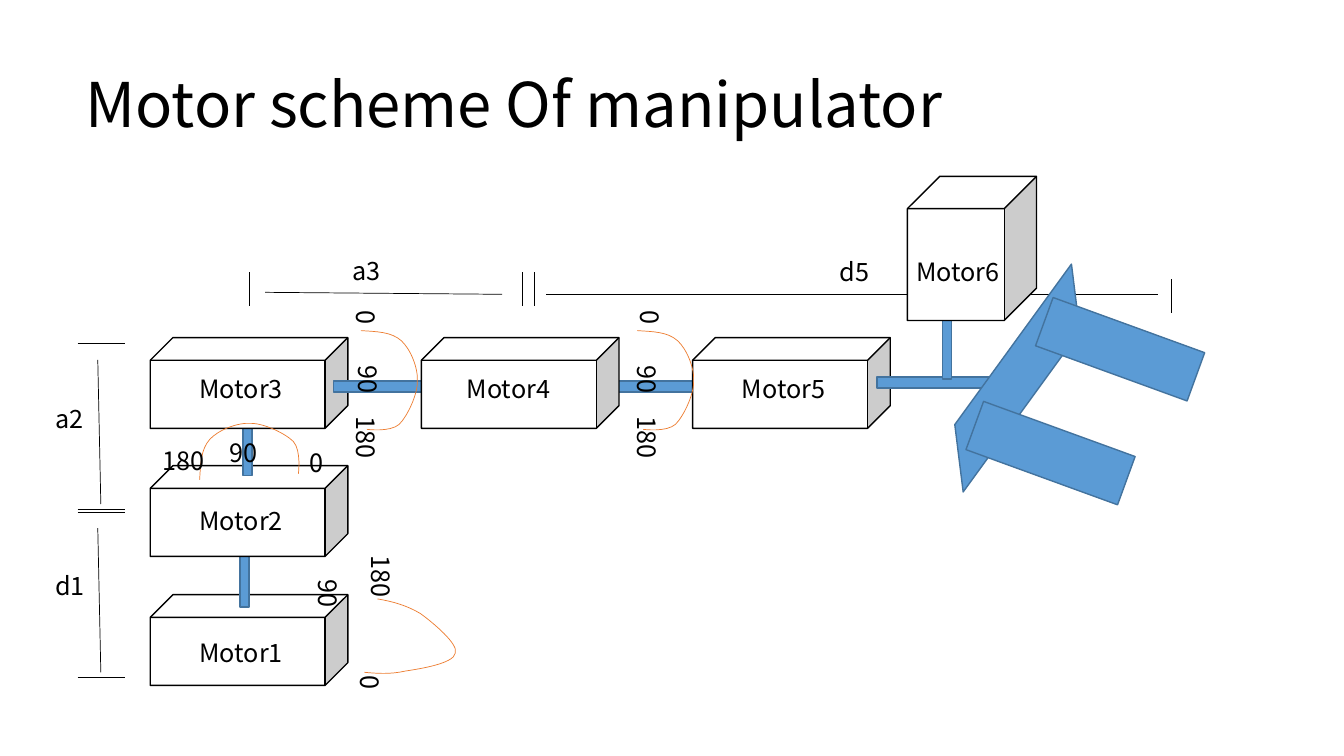
from pptx import Presentation
from pptx import util as u
from pptx.dml.color import RGBColor
from pptx.enum import shapes, text
from lxml import etree

PX = 9144
FONT = "Noto Sans CJK KR"
C = {"ink": "000000", "face": "FFFFFF", "rod": "5B9BD5", "edge": "43739E", "arc": "ED7D31"}
A = "{http://schemas.openxmlformats.org/drawingml/2006/main}"

prs = Presentation()
prs.slide_width, prs.slide_height = 1333 * PX, 750 * PX
s = prs.slides.add_slide(prs.slide_layouts[6])


def add_line(x1, y1, x2, y2):
    ln = s.shapes.add_connector(shapes.MSO_CONNECTOR.STRAIGHT, x1 * PX, y1 * PX, x2 * PX, y2 * PX)
    ln.line.color.rgb = RGBColor.from_string(C["ink"])
    ln.line.width = u.Pt(0.5)
    etree.SubElement(ln._element.spPr, A + "effectLst")


def add_label(label, x, y, w, h=40, rot=0, size=18):
    sp = s.shapes.add_textbox(x * PX, y * PX, w * PX, h * PX)
    sp.rotation = rot
    tf = sp.text_frame
    tf.word_wrap = True
    tf.text = label
    r = tf.paragraphs[0].runs[0]
    r.font.name, r.font.size = FONT, u.Pt(size)
    r.font.color.rgb = RGBColor.from_string(C["ink"])
    return tf


add_line(542, 292, 1149, 292)

CUBE = shapes.MSO_SHAPE.CUBE
RECT = shapes.MSO_SHAPE.RECTANGLE
PLATE = shapes.MSO_SHAPE.FLOWCHART_DATA
parts = [
    (CUBE, 149, 590, 196, 90, 0),
    (RECT, 190, 545, 105, 9, 270),
    (CUBE, 149, 462, 196, 90, 0),
    (RECT, 193, 415, 105, 9, 270),
    (CUBE, 149, 335, 196, 90, 0),
    (RECT, 331, 378, 473, 11, 0),
    (CUBE, 418, 335, 196, 90, 0),
    (CUBE, 687, 335, 196, 90, 0),
    (RECT, 870, 374, 148, 11, 0),
    (PLATE, 886, 352, 246, 46, 306),
    (RECT, 1031, 321, 160, 51, 20),
    (RECT, 962, 424, 160, 51, 20),
    (RECT, 887, 319, 105, 9, 270),
    (CUBE, 900, 175, 128, 143, 0),
]
for kind, x, y, w, h, rot in parts:
    sp = s.shapes.add_shape(kind, x * PX, y * PX, w * PX, h * PX)
    sp.rotation = rot
    sp.shadow.inherit = False
    fill, edge = ("face", "ink") if kind == CUBE else ("rod", "edge")
    sp.fill.solid()
    sp.fill.fore_color.rgb = RGBColor.from_string(C[fill])
    sp.line.color.rgb = RGBColor.from_string(C[edge])
    sp.line.width = u.Pt(1)

half_turn = [(0, 0), (15, 1), (30, 1), (40, 10), (49, 18), (57, 37), (56, 51),
             (56, 64), (46, 85), (38, 93), (29, 101), (6, 98), (6, 98)]
base_turn = [(24, 0), (39, 5), (52, 11), (64, 21), (75, 32), (97, 57), (92, 65),
             (89, 75), (55, 75), (40, 75), (25, 76), (12, 73), (0, 70)]
for curve, dx, dy, rot in [(half_turn, 358, 328, 0), (half_turn, 632, 328, 0),
                           (half_turn, 220, 397, 270), (base_turn, 356, 590, 351.2)]:
    points = [(x + dx, y + dy) for x, y in curve]
    fb = s.shapes.build_freeform(*points[0], scale=PX)
    fb.add_line_segments(points[1:], close=False)
    sp = fb.convert_to_shape()
    steps = list(sp._element.iter(A + "lnTo"))
    for i in range(0, len(steps), 3):
        bend = etree.Element(A + "cubicBezTo")
        steps[i].addprevious(bend)
        for step in steps[i:i + 3]:
            bend.append(step[0])
            step.getparent().remove(step)
    sp.rotation = rot
    sp.shadow.inherit = False
    sp.fill.background()
    sp.line.color.rgb = RGBColor.from_string(C["arc"])
    sp.line.width = u.Pt(0.5)

labels = [
    ("90", 340, 358, 51, 90), ("90", 218, 429, 255, 0), ("90", 614, 361, 56, 90),
    ("90", 198, 673, 255, 90), ("180", 151, 437, 76, 0), ("0", 342, 666, 51, 90),
    ("0", 338, 304, 51, 90), ("0", 620, 304, 51, 90), ("180", 324, 423, 79, 90),
    ("180", 603, 423, 79, 90), ("180", 346, 553, 64, 90), ("0", 297, 439, 51, 0),
    ("Motor6", 899, 249, 110, 0), ("Motor1", 188, 627, 112, 0), ("Motor2", 188, 496, 112, 0),
    ("Motor3", 188, 365, 112, 0), ("Motor4", 453, 365, 112, 0), ("Motor5", 726, 365, 112, 0),
    ("d1", 45, 561, 56, 0), ("a2", 45, 395, 56, 0), ("a3", 340, 248, 58, 0), ("d5", 823, 249, 61, 0),
]
for label, x, y, w, rot in labels:
    tf = add_label(label, x, y, w, rot=rot)
    tf.auto_size = text.MSO_AUTO_SIZE.SHAPE_TO_FIT_TEXT

tf = add_label("Motor scheme Of manipulator", 75, 34, 1150, 145, size=44)
tf.vertical_anchor = text.MSO_ANCHOR.MIDDLE
tf.paragraphs[0].line_spacing = 0.9

for top in (341, 508):
    for y in (top, top + 164):
        add_line(77, y, 124, y)
    add_line(97, top + 16, 100, top + 159)

for x, y in [(247, 270), (518, 270), (530, 270), (1162, 277)]:
    add_line(x, y, x, y + 34)
add_line(263, 290, 498, 292)

prs.save("out.pptx")
